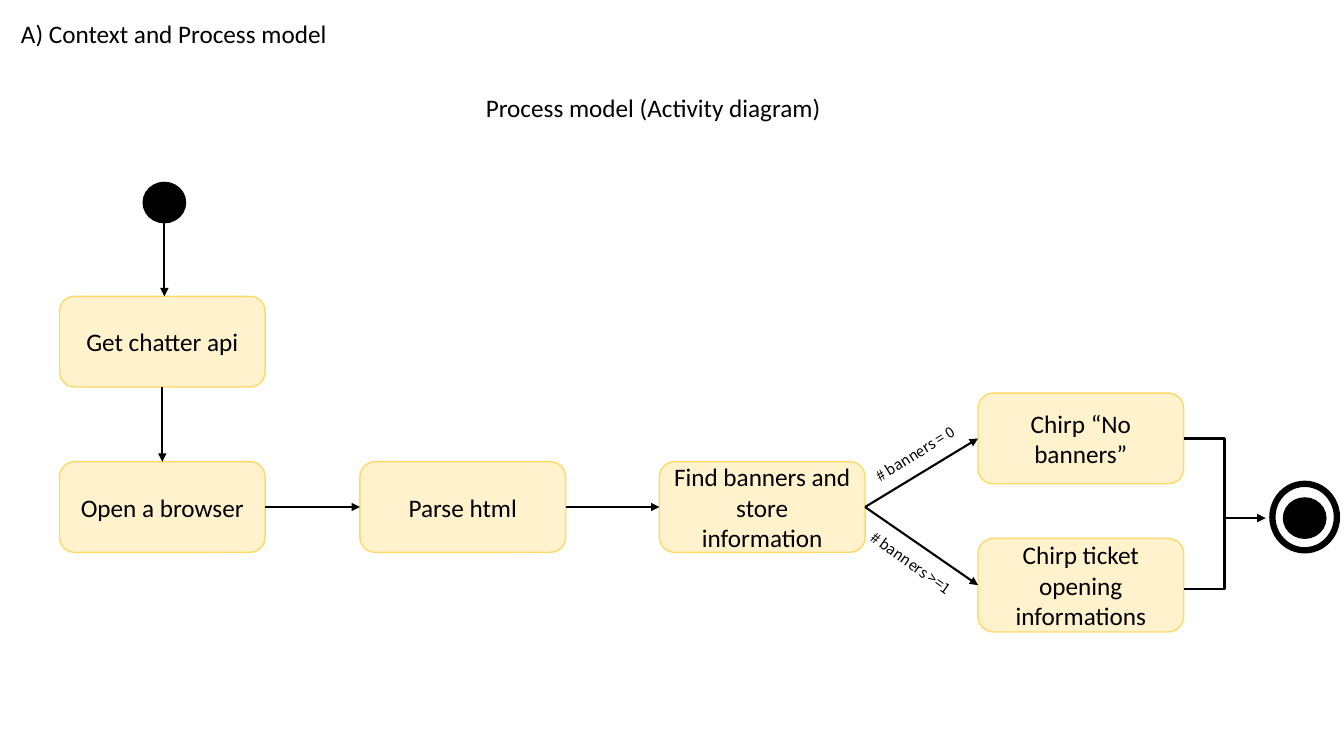
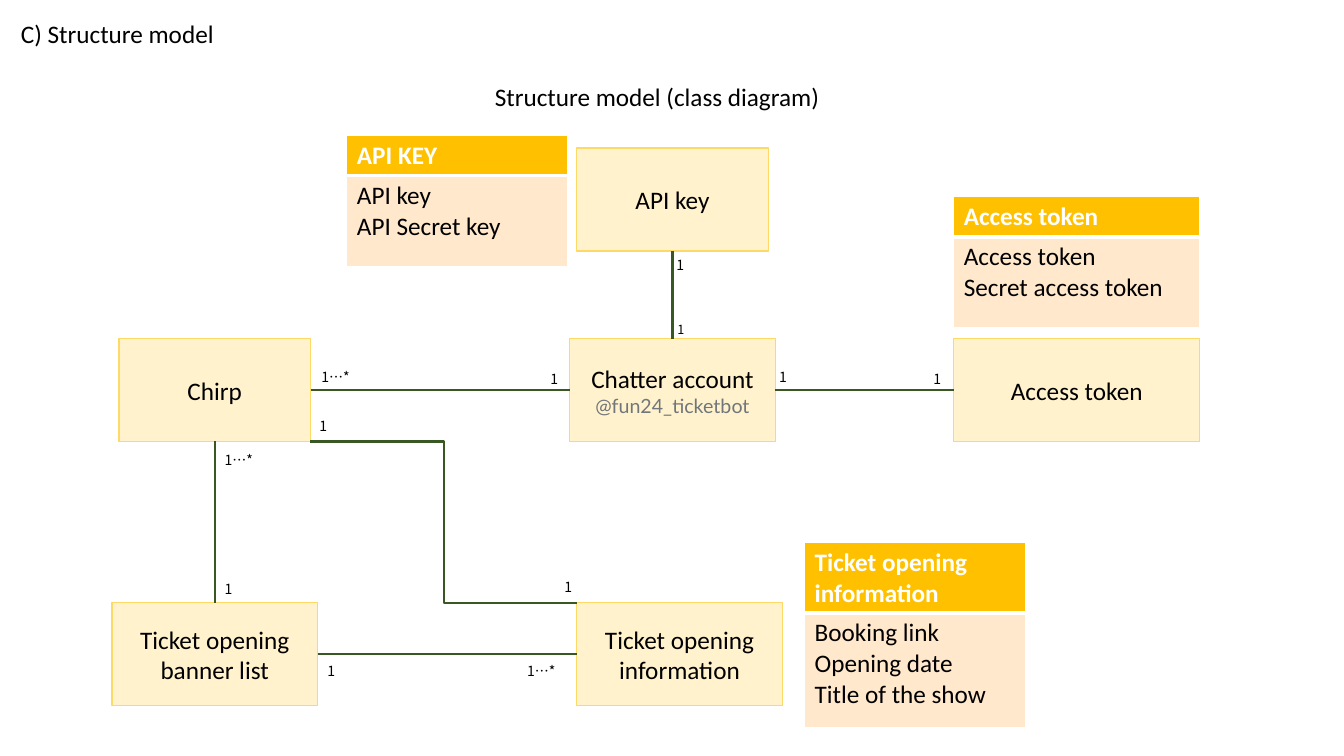
from lxml.etree import SubElement
from pptx import Presentation
from pptx.dml.color import RGBColor
from pptx.enum.shapes import MSO_CONNECTOR, MSO_SHAPE
from pptx.enum.text import MSO_ANCHOR, MSO_AUTO_SIZE, PP_ALIGN
from pptx.oxml.ns import qn
from pptx.util import Emu, Pt

PX = 9144
BLACK = RGBColor(0x00, 0x00, 0x00)
WHITE = RGBColor(0xFF, 0xFF, 0xFF)
GREY = RGBColor(0x71, 0x76, 0x7B)
CREAM = RGBColor(0xFF, 0xF2, 0xCC)
YELLOW = RGBColor(0xFF, 0xD9, 0x66)
AMBER = RGBColor(0xFF, 0xC0, 0x00)
PEACH = RGBColor(0xFF, 0xE8, 0xCC)
GREEN = RGBColor(0x38, 0x57, 0x23)

BODY = ({"name": "Calibri", "size": Pt(18), "bold": False}, BLACK)
HEADER = ({"name": "Calibri", "size": Pt(18), "bold": True}, WHITE)
HANDLE = ({"name": "Lato", "size": Pt(14), "bold": False}, GREY)
GUARD = ({"name": "Noto Sans CJK KR", "size": Pt(10.5)}, BLACK)
COUNT = ({"name": "Noto Sans CJK KR", "size": Pt(10)}, BLACK)
SMALL_COUNT = ({"name": "Noto Sans CJK KR", "size": Pt(9)}, BLACK)

TOP, LEFT, BOTTOM, RIGHT = range(4)
HEADING_BOX = (11, 13, 384, 40)

PROCESS = {
    "heading": "A) Context and Process model",
    "title": ("Process model (Activity diagram)", (472, 87, 389, 40)),
    "box_shape": MSO_SHAPE.ROUNDED_RECTANGLE,
    "boxes": {
        "api": (["Get chatter api"], (59, 294, 204, 90)),
        "browser": (["Open a browser"], (59, 458, 204, 90)),
        "parse": (["Parse html"], (357, 458, 204, 90)),
        "find": (["Find banners and store information"], (654, 458, 204, 90)),
        "none": (["Chirp “No banners”"], (970, 390, 204, 90)),
        "some": (["Chirp ticket opening informations"], (970, 534, 204, 93)),
    },
    "line": (BLACK, True),
    "links": [
        ("api", BOTTOM, "browser", TOP),
        ("browser", RIGHT, "parse", LEFT),
        ("parse", RIGHT, "find", LEFT),
        ("find", RIGHT, "none", LEFT),
        ("find", RIGHT, "some", LEFT),
    ],
    "loose_lines": [
        (MSO_CONNECTOR.STRAIGHT, (163, 221, 163, 294)),
        (MSO_CONNECTOR.ELBOW, (1174, 435, 1255, 514)),
        (MSO_CONNECTOR.ELBOW, (1174, 584, 1255, 514)),
    ],
    "circles": [
        ((142, 181, 42, 40), BLACK, 1),
        ((1262, 480, 64, 66), WHITE, 4.5),
        ((1273, 494, 42, 40), BLACK, 1),
    ],
    "labels": [
        ("# banners = 0", (853, 434, 118, 28), GUARD, 328.2),
        ("# banners >=1", (845, 551, 135, 28), GUARD, 35.5),
    ],
    "tables": [],
}

STRUCTURE = {
    "heading": "C) Structure model",
    "title": ("Structure model (class diagram)", (481, 76, 372, 40)),
    "box_shape": MSO_SHAPE.RECTANGLE,
    "boxes": {
        "account": (["Chatter account", "@fun24_ticketbot"], (565, 336, 204, 102)),
        "chirp": (["Chirp"], (118, 336, 190, 102)),
        "key": (["API key"], (572, 147, 190, 102)),
        "token": (["Access token"], (946, 336, 244, 102)),
        "information": (["Ticket opening information"], (572, 598, 204, 102)),
        "banners": (["Ticket opening banner list"], (111, 598, 204, 102)),
    },
    "line": (GREEN, False),
    "links": [
        ("chirp", RIGHT, "account", LEFT),
        ("account", TOP, "key", BOTTOM),
        ("account", RIGHT, "token", LEFT),
        ("banners", RIGHT, "information", LEFT),
        ("chirp", BOTTOM, "banners", TOP),
    ],
    "loose_lines": [(MSO_CONNECTOR.ELBOW, (308, 438, 572, 598))],
    "circles": [],
    "labels": [
        ("1", (661, 250, 30, 27), COUNT, 0),
        ("1", (662, 314, 30, 25), SMALL_COUNT, 0),
        ("1…*", (309, 361, 73, 27), COUNT, 0),
        ("1", (536, 363, 30, 27), COUNT, 0),
        ("1", (763, 361, 30, 27), COUNT, 0),
        ("1", (916, 363, 30, 27), COUNT, 0),
        ("1…*", (213, 443, 55, 27), COUNT, 0),
        ("1", (213, 571, 30, 27), COUNT, 0),
        ("1", (315, 652, 30, 27), COUNT, 0),
        ("1…*", (513, 652, 59, 27), COUNT, 0),
        ("1", (307, 409, 30, 27), COUNT, 0),
        ("1", (550, 569, 30, 27), COUNT, 0),
    ],
    "tables": [
        ("Ticket opening information", ["Booking link", "Opening date", "Title of the show"],
         (798, 538, 219), (70, 114)),
        ("API KEY", ["API key", "API Secret key"], (344, 134, 219), (40, 90)),
        ("Access token", ["Access token", "Secret access token"], (946, 195, 244), (40, 90)),
    ],
}


def scaled(lengths):
    return [Emu(length * PX) for length in lengths]


def write(text_frame, lines, styles, alignment=PP_ALIGN.LEFT):
    for index, (line, (values, color)) in enumerate(zip(lines, styles)):
        paragraph = text_frame.add_paragraph() if index else text_frame.paragraphs[0]
        paragraph.alignment = alignment
        run = paragraph.add_run()
        run.text = line
        for name, value in values.items():
            setattr(run.font, name, value)
        run.font.color.rgb = color
        SubElement(run.font._element, qn("a:ea"), typeface=values["name"])


def add_text(slide, text, box, style, rotation=0):
    shape = slide.shapes.add_textbox(*scaled(box))
    shape.rotation = rotation
    shape.text_frame.word_wrap = True
    shape.text_frame.auto_size = MSO_AUTO_SIZE.SHAPE_TO_FIT_TEXT
    write(shape.text_frame, [text], [style])


def add_figure(slide, kind, box, fill, outline, width):
    shape = slide.shapes.add_shape(kind, *scaled(box))
    shape.shadow.inherit = False
    shape.fill.solid()
    shape.fill.fore_color.rgb = fill
    shape.line.color.rgb = outline
    shape.line.width = Pt(width)
    return shape


def add_box(slide, kind, lines, box):
    shape = add_figure(slide, kind, box, CREAM, YELLOW, 1)
    shape.text_frame.word_wrap = True
    shape.text_frame.vertical_anchor = MSO_ANCHOR.MIDDLE
    write(shape.text_frame, lines, [BODY, HANDLE], PP_ALIGN.CENTER)
    return shape


def add_line(slide, kind, ends, color, arrow):
    connector = slide.shapes.add_connector(kind, *scaled(ends))
    connector.line.color.rgb = color
    connector.line.width = Pt(1.5)
    if arrow:
        SubElement(connector.line._get_or_add_ln(), qn("a:tailEnd"), type="triangle")
    SubElement(connector._element.spPr, qn("a:effectLst"))
    return connector


def add_borders(cell, widths):
    properties = cell._tc.get_or_add_tcPr()
    for side, width in widths.items():
        border = SubElement(properties, qn(f"a:ln{side}"), w=str(Pt(width)))
        fill = SubElement(border, qn("a:solidFill"))
        SubElement(fill, qn("a:srgbClr"), val=str(WHITE))


def add_attribute_table(slide, header, attributes, place, heights):
    frame = slide.shapes.add_table(2, 1, *scaled((*place, sum(heights))))
    table = frame.table
    rows = [
        ([header], HEADER, AMBER, {"L": 1, "R": 1, "T": 1, "B": 3}),
        (attributes, BODY, PEACH, {"L": 1, "R": 1, "T": 3, "B": 1}),
    ]
    for index, (lines, style, color, borders) in enumerate(rows):
        table.rows[index].height = Emu(heights[index] * PX)
        cell = table.cell(index, 0)
        add_borders(cell, borders)
        cell.fill.solid()
        cell.fill.fore_color.rgb = color
        write(cell.text_frame, lines, [style] * len(lines))


def build_slide(presentation, content):
    slide = presentation.slides.add_slide(presentation.slide_layouts[6])
    add_text(slide, content["heading"], HEADING_BOX, BODY)
    add_text(slide, *content["title"], BODY)
    boxes = {
        name: add_box(slide, content["box_shape"], lines, box)
        for name, (lines, box) in content["boxes"].items()
    }
    for start, start_side, end, end_side in content["links"]:
        connector = add_line(slide, MSO_CONNECTOR.STRAIGHT, (0, 0, 0, 0), *content["line"])
        connector.begin_connect(boxes[start], start_side)
        connector.end_connect(boxes[end], end_side)
    for kind, ends in content["loose_lines"]:
        add_line(slide, kind, ends, *content["line"])
    for box, fill, width in content["circles"]:
        add_figure(slide, MSO_SHAPE.OVAL, box, fill, BLACK, width)
    for label in content["labels"]:
        add_text(slide, *label)
    for table in content["tables"]:
        add_attribute_table(slide, *table)


def main():
    presentation = Presentation()
    presentation.slide_width, presentation.slide_height = scaled((1333, 750))
    for content in (PROCESS, STRUCTURE):
        build_slide(presentation, content)
    presentation.save("out.pptx")


if __name__ == "__main__":
    main()
